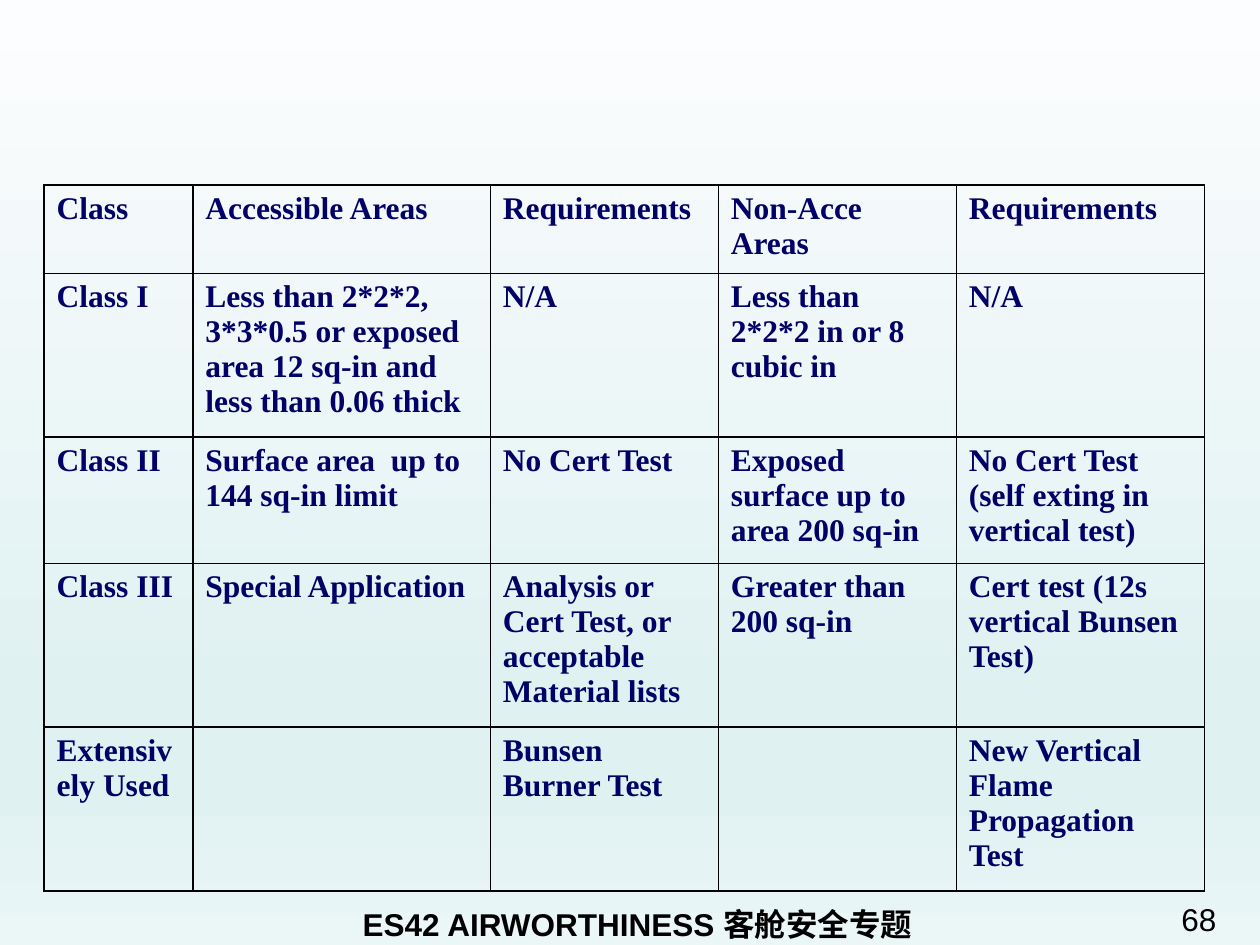
from dataclasses import dataclass

from lxml.etree import SubElement
from pptx import Presentation
from pptx.dml.color import RGBColor as Color
from pptx.enum.text import PP_ALIGN as Align
from pptx.oxml import parse_xml
from pptx.oxml.ns import nsdecls, qn
from pptx.util import Pt


@dataclass(frozen=True)
class Theme:
    table_font: str = "Times New Roman"
    footer_font: str = "Arial"
    size: float = 18
    table_text: str = "000066"
    black: str = "000000"
    border: float = 1
    background: tuple = ((0, "FCFDFE"), (74, "E0F1F2"), (83, "E0F1F2"), (100, "EBF6F7"))


@dataclass(frozen=True)
class Footer:
    text: str
    left: float
    top: float
    width: float
    height: float
    bold: bool


THEME = Theme()

FOOTERS = (
    Footer("ES42 AIRWORTHINESS 客舱安全专题", 64.8, 513.4, 599, 28.8, True),
    Footer("68", 658, 510.5, 54, 26, False),
)

TABLE_LEFT, TABLE_TOP = 25.2, 105.8
COLUMN_WIDTHS = (85, 170, 130.3, 136, 141.8)
ROW_HEIGHTS = (50.4, 93.6, 72, 93.6, 93.6)

# A line break inside a cell starts a new paragraph.
CLASS_ROWS = (
    ("Class", "Accessible Areas", "Requirements", "Non-Acce Areas", "Requirements"),
    ("Class I",
     "Less than 2*2*2,\n3*3*0.5 or exposed area 12 sq-in and less than 0.06 thick",
     "N/A", "Less than 2*2*2 in or 8 cubic in", "N/A"),
    ("Class II", "Surface area  up to 144 sq-in limit", "No Cert Test",
     "Exposed surface up to area 200 sq-in",
     "No Cert Test\n(self exting in vertical test)"),
    ("Class III", "Special Application",
     "Analysis or Cert Test, or acceptable Material lists",
     "Greater than 200 sq-in", "Cert test (12s vertical Bunsen Test)"),
    ("Extensively Used", "", "Bunsen Burner Test", "",
     "New Vertical Flame Propagation Test"),
)


def paint_background(page) -> None:
    fill = page.background.fill
    fill.gradient()
    fill.gradient_angle = 270
    stops = next(page.element.iter(qn("a:gsLst")))
    for stop in list(stops):
        stops.remove(stop)
    for percent, color in THEME.background:
        stop = SubElement(stops, qn("a:gs"), pos=str(percent * 1000))
        SubElement(stop, qn("a:srgbClr"), val=color)


def add_span(para, text: str, font: str, color: str, bold: bool) -> None:
    span = para.add_run()
    span.text = text
    span.font.name = font
    span.font.size = Pt(THEME.size)
    span.font.bold = bold
    span.font.color.rgb = Color.from_string(color)


def add_footer(page, footer: Footer) -> None:
    box = page.shapes.add_textbox(
        Pt(footer.left), Pt(footer.top), Pt(footer.width), Pt(footer.height))
    box.text_frame.word_wrap = True
    para = box.text_frame.paragraphs[0]
    para.alignment = Align.CENTER
    add_span(para, footer.text, THEME.footer_font, THEME.black, footer.bold)


def add_borders(cell) -> None:
    """Outline the cell; border elements must precede its fill element."""
    properties = cell._tc.get_or_add_tcPr()
    for position, side in enumerate(("lnL", "lnR", "lnT", "lnB")):
        properties.insert(position, parse_xml(
            f'<a:{side} {nsdecls("a")} w="{Pt(THEME.border)}"><a:solidFill>'
            f'<a:srgbClr val="{THEME.black}"/></a:solidFill></a:{side}>'))


def fill_cell(cell, text: str) -> None:
    cell.fill.background()
    add_borders(cell)
    frame = cell.text_frame
    for index, line in enumerate(text.split("\n")):
        para = frame.add_paragraph() if index else frame.paragraphs[0]
        if line:
            add_span(para, line, THEME.table_font, THEME.table_text, True)


def add_class_table(page) -> None:
    table = page.shapes.add_table(
        len(ROW_HEIGHTS), len(COLUMN_WIDTHS), Pt(TABLE_LEFT), Pt(TABLE_TOP),
        Pt(sum(COLUMN_WIDTHS)), Pt(sum(ROW_HEIGHTS))).table
    table.first_row = table.horz_banding = False
    for column, width in zip(table.columns, COLUMN_WIDTHS):
        column.width = Pt(width)
    for row, height, texts in zip(table.rows, ROW_HEIGHTS, CLASS_ROWS):
        row.height = Pt(height)
        for cell, text in zip(row.cells, texts):
            fill_cell(cell, text)


def main() -> None:
    deck = Presentation()
    deck.slide_width, deck.slide_height = Pt(720), Pt(540)
    page = deck.slides.add_slide(deck.slide_layouts[6])
    paint_background(page)
    for footer in FOOTERS:
        add_footer(page, footer)
    add_class_table(page)
    deck.save("out.pptx")


if __name__ == "__main__":
    main()
